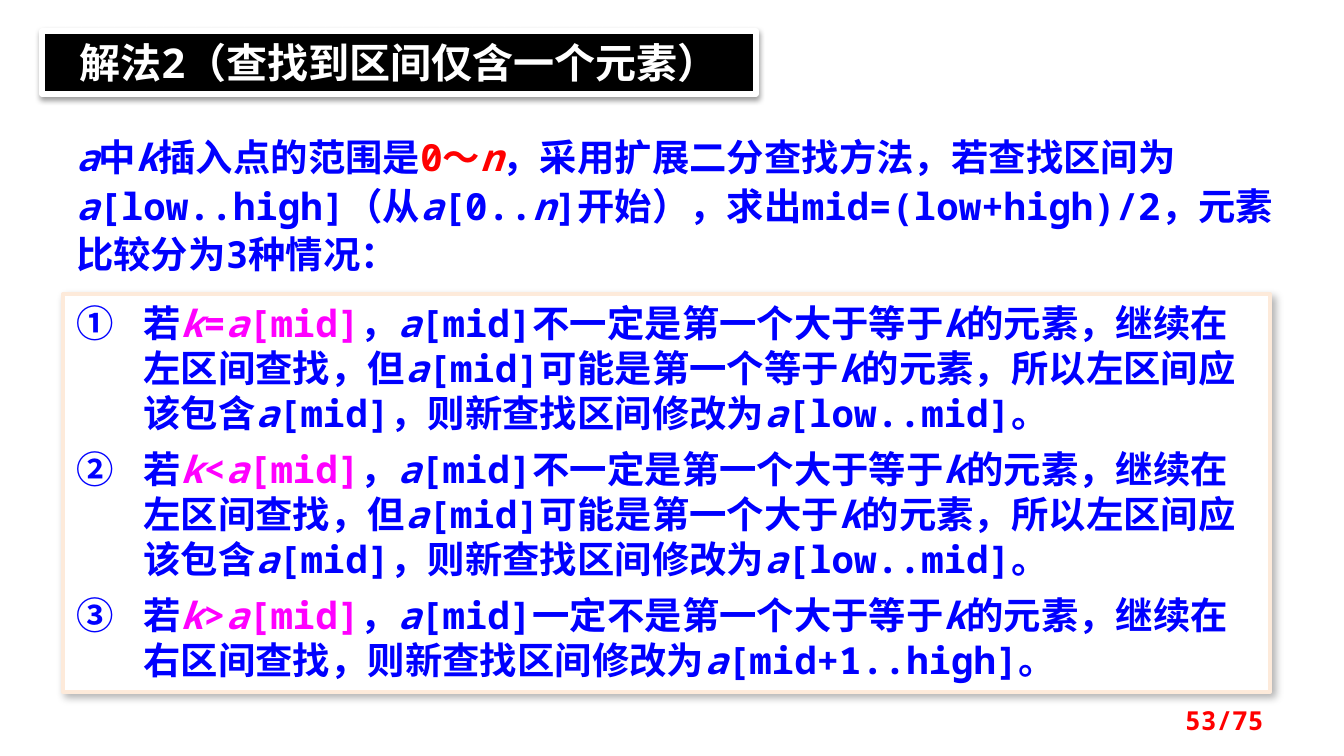
import pptx
import pptx.util
import pptx.oxml
import pptx.oxml.ns
import pptx.dml.color
import pptx.enum.text
import pptx.enum.shapes
import pptx.enum.lang

Pt = pptx.util.Pt
RGB = pptx.dml.color.RGBColor
Align = pptx.enum.text.PP_ALIGN
Anchor = pptx.enum.text.MSO_ANCHOR
PX = 914400 / 134.4
FONT = "Noto Sans Mono"
BLUE = RGB(0x00, 0x00, 0xFF)
PINK = RGB(0xFF, 0x00, 0xFF)
RED = RGB(0xFF, 0x00, 0x00)
PEACH = RGB(0xFD, 0xEA, 0xDA)
BLACK = RGB(0x00, 0x00, 0x00)
WHITE = RGB(0xFF, 0xFF, 0xFF)


def write(shape, lines, size=20, color=BLUE, accent=RED, align=Align.LEFT,
          anchor=Anchor.TOP, lead=None, gap=None, marks=False):
    frame = shape.text_frame
    frame.word_wrap = True
    frame.vertical_anchor = anchor
    for n, line in enumerate(lines):
        para = frame.add_paragraph() if n else frame.paragraphs[0]
        para.alignment = align
        if lead:
            para.line_spacing = Pt(lead)
        if gap:
            para.space_before = Pt(gap)
        if marks:
            props = para._p.get_or_add_pPr()
            props.set("marL", "457200")
            props.set("indent", "-457200")
            mark = pptx.oxml.parse_xml(
                f'<a:buAutoNum {pptx.oxml.ns.nsdecls("a")} type="circleNumDbPlain"/>')
            props.append(mark)
        for i, part in enumerate(line.split("#")):
            for j, piece in enumerate(part.split("*")):
                if not piece:
                    continue
                run = para.add_run()
                run.text = piece
                font = run.font
                font.name = FONT
                font.size = Pt(size)
                font.bold = True
                font.italic = j % 2 == 1
                font.color.rgb = accent if i % 2 else color
                font.language_id = pptx.enum.lang.MSO_LANGUAGE_ID.SIMPLIFIED_CHINESE


def panel(box, fill, line, width, alpha, blur, dist, angle):
    shape = slide.shapes.add_shape(
        pptx.enum.shapes.MSO_SHAPE.RECTANGLE, *[round(v * PX) for v in box])
    shape.fill.solid()
    shape.fill.fore_color.rgb = fill
    shape.line.color.rgb = line
    shape.line.width = Pt(width)
    shape.shadow.inherit = False
    glow = shape._element.spPr.find(pptx.oxml.ns.qn("a:effectLst"))
    glow.append(pptx.oxml.parse_xml(
        f'<a:outerShdw {pptx.oxml.ns.nsdecls("a")} blurRad="{Pt(blur)}" '
        f'dist="{Pt(dist)}" dir="{angle * 60000}" rotWithShape="0">'
        f'<a:srgbClr val="000000"><a:alpha val="{alpha * 1000}"/></a:srgbClr>'
        '</a:outerShdw>'))
    return shape


deck = pptx.Presentation()
deck.slide_width = round(1344 * PX)
deck.slide_height = round(756 * PX)
slide = deck.slides.add_slide(deck.slide_layouts[6])

left = "*a*[mid]不一定是第一个大于等于*k*的元素，继续在左区间查找，但*a*[mid]可能是第一个"
tail = "*k*的元素，所以左区间应该包含*a*[mid]，则新查找区间修改为*a*[low..mid]。"
right = ("*a*[mid]一定不是第一个大于等于*k*的元素，继续在右区间查找，"
         "则新查找区间修改为*a*[mid+1..high]。")
cases = [("=", left + "等于" + tail), ("<", left + "大于" + tail), (">", right)]

rules = panel((63, 294, 1207, 398), WHITE, PEACH, 2, 30, 4.5, 2.6, 53)
write(rules, [f"若#*k*{sign}*a*[mid]#，{rest}" for sign, rest in cases],
      accent=PINK, lead=24, gap=6, marks=True)

title = panel((42, 31, 714, 63), BLACK, WHITE, 3, 38, 3.1, 1.6, 90)
write(title, ["解法2（查找到区间仅含一个元素）"], size=22, color=WHITE, align=Align.CENTER)

intro = slide.shapes.add_textbox(*[round(v * PX) for v in (63, 124, 1228, 160)])
write(intro, ["*a*中*k*插入点的范围是#0～*n*#，采用扩展二分查找方法，若查找区间为"
              "*a*[low..high]（从*a*[0..*n*]开始），求出mid=(low+high)/2，"
              "元素比较分为3种情况："], lead=26)

page = slide.shapes.add_textbox(*[round(v * PX) for v in (964, 700, 313, 40)])
write(page, ["53/75"], size=14, color=RED, align=Align.RIGHT, anchor=Anchor.MIDDLE)

deck.save("out.pptx")
